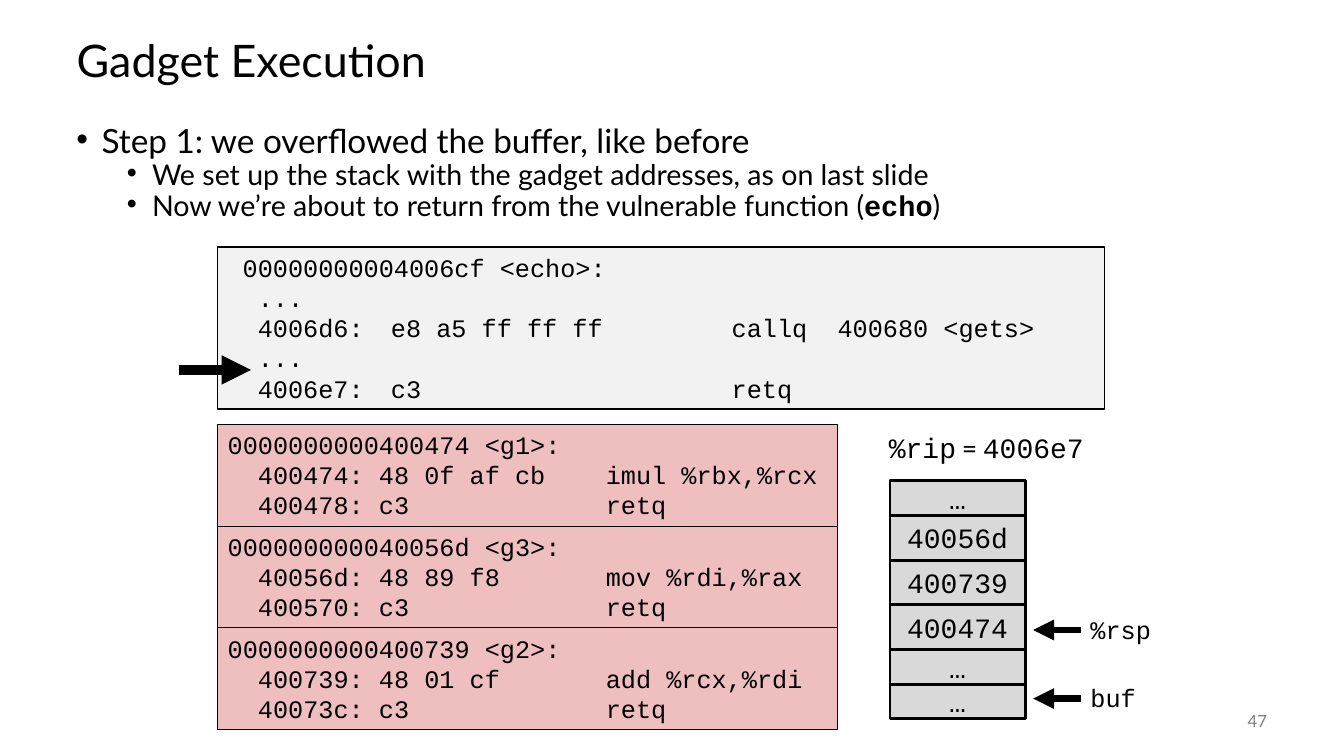
from dataclasses import dataclass
from itertools import accumulate

from lxml import etree
from pptx import Presentation
from pptx.dml.color import RGBColor
from pptx.enum.shapes import MSO_CONNECTOR, MSO_SHAPE
from pptx.enum.text import MSO_ANCHOR, MSO_AUTO_SIZE, PP_ALIGN
from pptx.oxml.ns import qn
from pptx.util import Inches, Pt

LEFT, MID, RIGHT = PP_ALIGN.LEFT, PP_ALIGN.CENTER, PP_ALIGN.RIGHT
TOP, MIDDLE = MSO_ANCHOR.TOP, MSO_ANCHOR.MIDDLE
NO_FIT = MSO_AUTO_SIZE.NONE
RECT, LINE = MSO_SHAPE.RECTANGLE, MSO_CONNECTOR.STRAIGHT
WIDE, HIGH = Inches(13.33), Inches(7.5)
COLS, ROWS = 160, 90


@dataclass(frozen=True)
class Theme:
    """Colours, fonts and type sizes of the slide."""
    ink: str = "000000"
    gray: str = "808080"
    pale: str = "F2F2F2"
    pink: str = "EFBFBF"
    cell: str = "D9D9D9"
    sans: str = "Lato"
    mono: str = "Courier New"
    plain: str = "Calibri"
    title: float = 32
    lead: float = 23.8
    sub: float = 20.4
    code: float = 18
    value: float = 20
    foot: float = 12
    pitch: float = 21.6


THEME = Theme()

POINTS = [
    (0, [("Step 1: we overflowed the buffer, like before", {})]),
    (1, [("We set up the stack with the gadget addresses, as on last slide", {})]),
    (1, [("Now we’re about to return from the vulnerable function (", {}),
         ("echo", {"name": THEME.mono, "bold": True}), (")", {})]),
]
ECHO = [
    " 00000000004006cf <echo>:",
    "  ...",
    "  4006d6:\te8 a5 ff ff ff\tcallq  400680 <gets>",
    "  ...",
    "  4006e7:\tc3\tretq",
]
GADGETS = [
    ["0000000000400474 <g1>:",
     "  400474: 48 0f af cb    imul %rbx,%rcx",
     "  400478: c3             retq"],
    ["000000000040056d <g3>:",
     "  40056d: 48 89 f8       mov %rdi,%rax",
     "  400570: c3             retq"],
    ["0000000000400739 <g2>:",
     "  400739: 48 01 cf       add %rcx,%rdi",
     "  40073c: c3             retq"],
]
STACK = ["…", "40056d", "400739", "400474", "…", "…"]
MARKS = [("%rsp", 17.76), ("buf", 25.92)]


def span(*box):
    """Turn grid columns and rows into slide lengths."""
    units = (WIDE / COLS, HIGH / ROWS) * 2
    return [round(size * unit) for size, unit in zip(box, units)]


def apply(item, form):
    """Set each attribute named in the format."""
    for key, value in form.items():
        setattr(item, key, value)


def style(font, size, name=THEME.sans, color=THEME.ink, bold=False):
    """Format a font."""
    apply(font, {"size": Pt(size), "name": name, "bold": bold})
    font.color.rgb = RGBColor.from_string(color)


def write(frame, lines, form, align=LEFT, anchor=TOP, wrap=True, pitch=None):
    """Fill a frame with one paragraph for each line."""
    apply(frame, {"word_wrap": wrap, "auto_size": NO_FIT,
                  "vertical_anchor": anchor})
    for row, line in enumerate(lines):
        para = frame.add_paragraph() if row else frame.paragraphs[0]
        apply(para, {"alignment": align, "line_spacing": pitch})
        runs = [(line, {})] if isinstance(line, str) else line
        for text, extra in runs:
            run = para.add_run()
            run.text = text
            style(run.font, **{**form, **extra})


def label(slide, box, lines, form, **more):
    """Add a text box."""
    text = slide.shapes.add_textbox(*span(*box))
    write(text.text_frame, lines, form, **more)


def block(slide, box, lines, fill, width, form, **more):
    """Add a filled and outlined rectangle with text."""
    rect = slide.shapes.add_shape(RECT, *span(*box))
    rect.shadow.inherit = False
    rect.fill.solid()
    rect.fill.fore_color.rgb = RGBColor.from_string(fill)
    rect.line.color.rgb = RGBColor.from_string(THEME.ink)
    rect.line.width = Pt(width)
    write(rect.text_frame, lines, form, **more)
    return rect


def arrow(slide, start, end, y, width):
    """Draw a level arrow."""
    link = slide.shapes.add_connector(LINE, *span(start, y, end, y))
    link.line.color.rgb = RGBColor.from_string(THEME.ink)
    link.line.width = Pt(width)
    etree.SubElement(link.line._get_or_add_ln(), qn("a:tailEnd"), type="triangle")
    etree.SubElement(link._element.spPr, qn("a:effectLst"))


def head(slide, box):
    """Place the title."""
    title = slide.shapes.title
    apply(title, dict(zip(("left", "top", "width", "height"), span(*box))))
    write(title.text_frame, ["Gadget Execution"], {"size": THEME.title},
          anchor=MIDDLE, pitch=0.9)


def points(slide, box):
    """Place the bulleted steps."""
    text = slide.shapes.add_textbox(*span(*box))
    frame = text.text_frame
    sizes = (THEME.lead, THEME.sub)
    lines = [[(part, {"size": sizes[level], **extra}) for part, extra in runs]
             for level, runs in POINTS]
    write(frame, lines, {}, pitch=0.7)
    for para, (level, _) in zip(frame.paragraphs, POINTS):
        para.level = level
        props = para._p.get_or_add_pPr()
        props.set("marL", str(Inches(0.25 + 0.5 * level)))
        props.set("indent", str(-Inches(0.25)))
        etree.SubElement(props, qn("a:buFont"), typeface="Arial")
        etree.SubElement(props, qn("a:buChar"), char="•")
        if level:
            para.space_before = Pt(5)


def echo(slide, box):
    """Place the echo listing and its current line arrow."""
    form = {"size": THEME.code, "name": THEME.mono}
    rect = block(slide, box, ECHO, THEME.pale, 1, form, pitch=Pt(THEME.pitch))
    for para in rect.text_frame.paragraphs:
        tabs = etree.SubElement(para._p.get_or_add_pPr(), qn("a:tabLst"))
        for stop in (1.62, 5):
            etree.SubElement(tabs, qn("a:tab"), pos=str(Inches(stop)), algn="l")
    left, top = box[:2]
    arrow(slide, left - 4.56, left + 3.96, top + 14.64, 7)


def gadgets(slide, box):
    """Stack the gadget listings in equal rows."""
    left, top, width, height = box
    step = height / len(GADGETS)
    form = {"size": THEME.code, "name": THEME.mono}
    for row, lines in enumerate(GADGETS):
        block(slide, (left, top + row * step, width, step), lines,
              THEME.pink, 0.75, form, pitch=Pt(THEME.pitch))


def stack(slide, box):
    """Place the stack cells, pointers and instruction pointer."""
    left, top, width, height = box
    value = {"size": THEME.value, "name": THEME.mono}
    parts = [3.4 if text == "…" else 4.4 for text in STACK]
    tall = [height * part / sum(parts) for part in parts]
    for text, high, low in zip(STACK, tall, accumulate(tall)):
        block(slide, (left, top + low - high, width, high), [text],
              THEME.cell, 2, value, align=MID, anchor=MIDDLE)
    edge = left + width
    for text, drop in MARKS:
        y = top + drop
        arrow(slide, edge + 6.6, edge + 0.96, y, 5)
        label(slide, (edge + 6.6, y - 2.5, 12.24, 4.8), [text],
              {"size": THEME.code, "name": THEME.mono})
    line = [("%rip", {}), (" = ", {"name": THEME.plain}), ("4006e7", {})]
    label(slide, (left - 1.32, top - 6.6, 25.8, 5.28), [line], value, wrap=False)


def main():
    """Build and save the slide."""
    deck = Presentation()
    apply(deck, {"slide_width": WIDE, "slide_height": HIGH})
    slide = deck.slides.add_slide(deck.slide_layouts[5])
    head(slide, (7.92, 3, 144, 9))
    points(slide, (7.92, 15, 144, 12.48))
    echo(slide, (25.92, 29.4, 105.6, 19.32))
    gadgets(slide, (25.92, 50.52, 73.8, 36.36))
    stack(slide, (105.96, 57.24, 16.08, 28.32))
    label(slide, (140.04, 83.4, 12, 4.8), ["47"],
          {"size": THEME.foot, "color": THEME.gray}, align=RIGHT, anchor=MIDDLE)
    deck.save("out.pptx")


if __name__ == "__main__":
    main()
